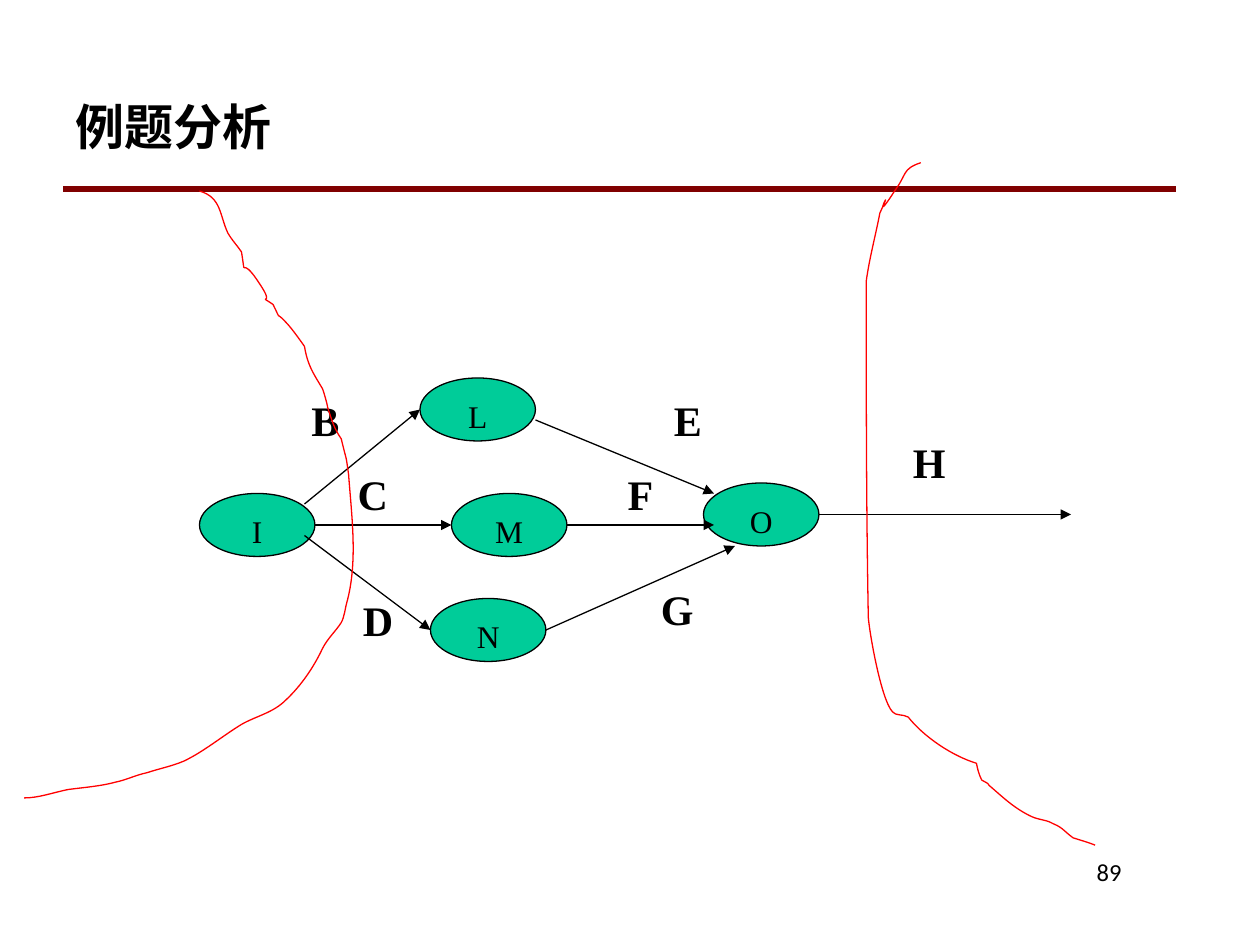
from pptx import Presentation, util as u
from pptx.dml.color import RGBColor
from pptx.enum import shapes as sh, text as tx
from pptx.oxml.ns import qn
from lxml import etree

PX = 7620  # EMU per px, 120 px to the inch
HEX = {"ink": "000000", "rule": "800000", "node": "00CC99", "cut": "FF0000"}
SANS, SERIF = "Calibri", "Times New Roman"
LEFT, RIGHT, MID = tx.PP_ALIGN.LEFT, tx.PP_ALIGN.RIGHT, tx.PP_ALIGN.CENTER

TITLE, PAGE = "例题分析", "89"
RULE = (60, 180, 1120, 180)
NODE = (110, 60)
NODES = {"I": (190, 470), "L": (400, 360), "M": (430, 470),
         "N": (410, 570), "O": (670, 460)}
EDGES = [  # name, line from x, y to x, y, label left, top, width
    ("B", (290, 480, 400, 390), (250, 370, 120)),
    ("C", (300, 500, 430, 500), (300, 440, 110)),
    ("D", (290, 510, 410, 600), (310, 560, 100)),
    ("E", (510, 400, 680, 470), (610, 370, 90)),
    ("F", (540, 500, 680, 500), (550, 440, 120)),
    ("G", (520, 600, 700, 520), (580, 550, 130)),
    ("H", (780, 490, 1020, 490), (810, 410, 150)),
]
# Each cut: a start point, then Bezier rows of two handles and an end point
CUTS = [
    ((190, 182), [
        (211, 188, 209, 205, 217, 222), (221, 229, 226, 234, 230, 240),
        (235, 271, 227, 239, 247, 270), (264, 295, 242, 278, 260, 290),
        (270, 310, 259, 292, 275, 310), (281, 317, 290, 330, 290, 330),
        (293, 348, 298, 355, 307, 370), (308, 372, 312, 386, 312, 388),
        (316, 400, 318, 408, 325, 418), (331, 443, 329, 431, 332, 452),
        (335, 493, 341, 536, 330, 575), (329, 578, 328, 588, 325, 593),
        (320, 601, 312, 608, 307, 618), (299, 635, 287, 653, 272, 667),
        (260, 679, 244, 682, 230, 690), (212, 701, 194, 716, 175, 725),
        (163, 730, 152, 732, 140, 736), (130, 738, 120, 743, 110, 745),
        (95, 749, 80, 750, 65, 752), (50, 755, 37, 760, 23, 760)]),
    ((877, 155), [
        (859, 161, 864, 166, 852, 182), (827, 221, 854, 168, 838, 203),
        (834, 224, 828, 246, 825, 268), (825, 374, 825, 481, 827, 588),
        (828, 602, 839, 666, 850, 678), (853, 682, 860, 680, 865, 683),
        (880, 702, 907, 720, 930, 727), (931, 732, 932, 737, 935, 743),
        (937, 745, 941, 745, 942, 748), (956, 760, 966, 770, 983, 778),
        (990, 781, 998, 781, 1004, 785), (1012, 788, 1016, 794, 1022, 798),
        (1028, 800, 1036, 802, 1043, 805)]),
]

deck = Presentation()
deck.slide_width, deck.slide_height = 1200 * PX, 900 * PX
slide = deck.slides.add_slide(deck.slide_layouts[6])
items = slide.shapes


def emu(vals):
    return [v * PX for v in vals]


def tint(color, name):
    color.rgb = RGBColor.from_string(HEX[name])


def stroke(line, name, width=0.75):
    line.fill.solid()
    tint(line.color, name)
    line.width = u.Pt(width)


def write(shape, words, face, size, align, bold=False):
    para = shape.text_frame.paragraphs[0]
    para.text, para.alignment = words, align
    for key, val in {"name": face, "size": u.Pt(size), "bold": bold}.items():
        setattr(para.font, key, val)
    tint(para.font.color, "ink")


def label(box, words, face, size, align, bold=False, anchor=tx.MSO_ANCHOR.TOP):
    shape = items.add_textbox(*emu(box))
    shape.text_frame.word_wrap = True
    shape.text_frame.vertical_anchor = anchor
    write(shape, words, face, size, align, bold)


def link(ends, name, width=0.75, arrow=True):
    line = items.add_connector(sh.MSO_CONNECTOR.STRAIGHT, *emu(ends))
    stroke(line.line, name, width)
    if arrow:
        etree.SubElement(line.line._get_or_add_ln(), qn("a:tailEnd"), type="triangle")
    etree.SubElement(line._element.spPr, qn("a:effectLst"))


def node(name, spot):
    oval = items.add_shape(sh.MSO_SHAPE.OVAL, *emu(spot + NODE))
    oval.shadow.inherit = False
    oval.fill.solid()
    tint(oval.fill.fore_color, "node")
    stroke(oval.line, "ink")
    frame = oval.text_frame
    frame.word_wrap = False
    frame.vertical_anchor = tx.MSO_ANCHOR.MIDDLE
    frame.margin_top, frame.margin_bottom = 12 * PX, 0
    write(oval, name, SERIF, 18, MID)


def bend(shape):
    """Turn each three line steps of an outline into one Bezier curve."""
    steps = list(shape._element.iter(qn("a:lnTo")))
    for i in range(0, len(steps), 3):
        curve = etree.Element(qn("a:cubicBezTo"))
        steps[i].addprevious(curve)
        for step in steps[i:i + 3]:
            curve.append(step[0])
            step.getparent().remove(step)


def cut(start, rows):
    pen = items.build_freeform(*start, scale=PX)
    dots = [row[i:i + 2] for row in rows for i in (0, 2, 4)]
    pen.add_line_segments(dots, close=False)
    curve = pen.convert_to_shape()
    bend(curve)
    curve.shadow.inherit = False
    curve.fill.background()
    stroke(curve.line, "cut")


link(RULE, "rule", 3, arrow=False)
label((60, 60, 1060, 120), TITLE, SANS, 28, LEFT, True, tx.MSO_ANCHOR.MIDDLE)
for name, spot in NODES.items():
    node(name, spot)
for name, ends, spot in EDGES:
    link(ends, "ink")
    label(spot + (60,), name, SERIF, 24, MID, True)
for start, rows in CUTS:
    cut(start, rows)
label((910, 810, 170, 60), PAGE, SANS, 14, RIGHT)

deck.save("out.pptx")
